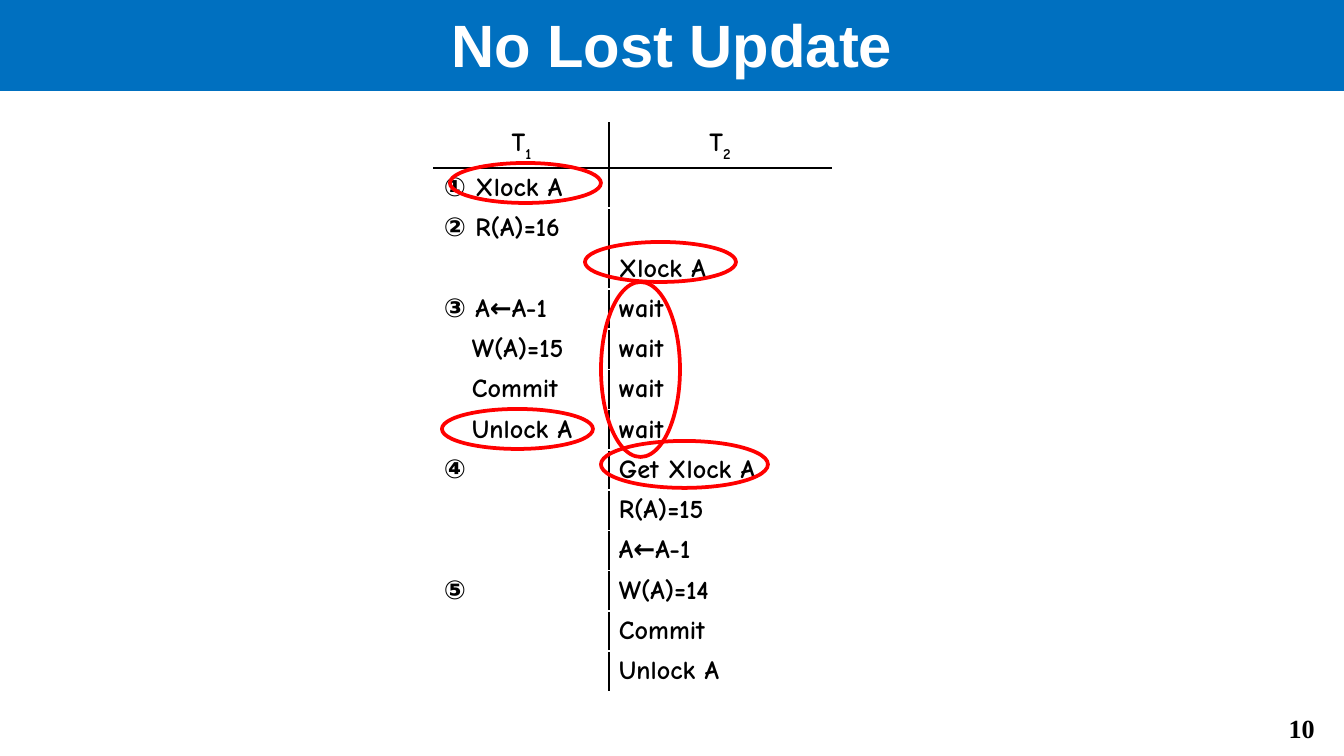
from lxml import etree
from pptx import Presentation
from pptx.dml.color import RGBColor
from pptx.enum.shapes import MSO_SHAPE
from pptx.enum.text import MSO_ANCHOR, PP_ALIGN
from pptx.oxml.ns import qn
from pptx.util import Emu, Pt

RECTANGLE, OVAL = MSO_SHAPE.RECTANGLE, MSO_SHAPE.OVAL
MIDDLE = MSO_ANCHOR.MIDDLE
LEFT, CENTER, RIGHT = PP_ALIGN.LEFT, PP_ALIGN.CENTER, PP_ALIGN.RIGHT
WHITE = RGBColor(255, 255, 255)
BLACK = RGBColor(0, 0, 0)
BLUE = RGBColor(0, 112, 192)
RED = RGBColor(255, 0, 0)


def px(value):
    return Emu(round(value * 914400 / 134.4))


def format_text(paragraph, font_name, size, color, alignment):
    paragraph.alignment = alignment
    for run in paragraph.runs:
        run.font.name = font_name
        run.font.size = Pt(size)
        run.font.bold = True
        run.font.color.rgb = color


presentation = Presentation()
presentation.slide_width = px(1344)
presentation.slide_height = px(756)
slide = presentation.slides.add_slide(presentation.slide_layouts[6])
slide.background.fill.solid()
slide.background.fill.fore_color.rgb = WHITE

title = slide.shapes.add_shape(RECTANGLE, px(0), px(-3), px(1344), px(94))
title.shadow.inherit = False
title.fill.solid()
title.fill.fore_color.rgb = BLUE
title.line.fill.background()
title.text_frame.text = "No Lost Update"
title.text_frame.vertical_anchor = MIDDLE
format_text(title.text_frame.paragraphs[0], "Arial", 32, WHITE, CENTER)

page_number = slide.shapes.add_textbox(px(1243), px(706), px(85), px(46))
page_number.text_frame.word_wrap = True
page_number.text_frame.text = "10"
format_text(page_number.text_frame.paragraphs[0], "Times New Roman", 14, BLACK, RIGHT)

schedule = [
    ("T", "T"),
    ("① Xlock A", ""),
    ("② R(A)=16", ""),
    ("", "Xlock A"),
    ("③ A←A-1", "wait"),
    ("W(A)=15", "wait"),
    ("Commit", "wait"),
    ("Unlock A", "wait"),
    ("④", "Get Xlock A"),
    ("", "R(A)=15"),
    ("", "A←A-1"),
    ("⑤", "W(A)=14"),
    ("", "Commit"),
    ("", "Unlock A"),
]
table = slide.shapes.add_table(len(schedule), 2, px(434), px(123), px(397), px(569)).table
table.first_row = False
table.horz_banding = False
table.columns[0].width = px(175)
table.columns[1].width = px(222)

for row_index, steps in enumerate(schedule):
    is_header = row_index == 0
    table.rows[row_index].height = px(45) if is_header else px(524) // (len(schedule) - 1)
    for column_index, step in enumerate(steps):
        cell = table.cell(row_index, column_index)
        cell.margin_left = cell.margin_right = px(10)
        cell.margin_top = px(5)
        cell.margin_bottom = px(2)
        cell.text_frame.text = step
        paragraph = cell.text_frame.paragraphs[0]
        if is_header:
            subscript = paragraph.add_run()
            subscript.text = str(column_index + 1)
            subscript.font._element.set("baseline", "-30000")
        format_text(paragraph, "Comic Neue", 14, BLACK, CENTER if is_header else LEFT)
        if column_index == 0 and step in ("W(A)=15", "Commit", "Unlock A"):
            paragraph._p.get_or_add_pPr().set("marL", str(px(28)))
        if not step:
            etree.SubElement(paragraph._p, qn("a:endParaRPr"), sz="1400")

        borders = {
            "a:lnL": BLACK if column_index == 1 else WHITE,
            "a:lnR": BLACK if column_index == 0 else WHITE,
            "a:lnT": BLACK if row_index == 1 else WHITE,
            "a:lnB": BLACK if is_header else WHITE,
        }
        properties = cell._tc.get_or_add_tcPr()
        for side, color in borders.items():
            border = etree.SubElement(properties, qn(side), w=str(Pt(1)))
            border_fill = etree.SubElement(border, qn("a:solidFill"))
            etree.SubElement(border_fill, qn("a:srgbClr"), val=str(color))
        cell.fill.background()

highlights = [
    (450, 163, 151, 40),
    (585, 242, 151, 40),
    (601, 282, 79, 175),
    (442, 409, 151, 40),
    (601, 441, 167, 47),
]
for left, top, width, height in highlights:
    highlight = slide.shapes.add_shape(OVAL, px(left), px(top), px(width), px(height))
    highlight.shadow.inherit = False
    highlight.fill.background()
    highlight.line.color.rgb = RED
    highlight.line.width = Pt(2)

presentation.save("out.pptx")
